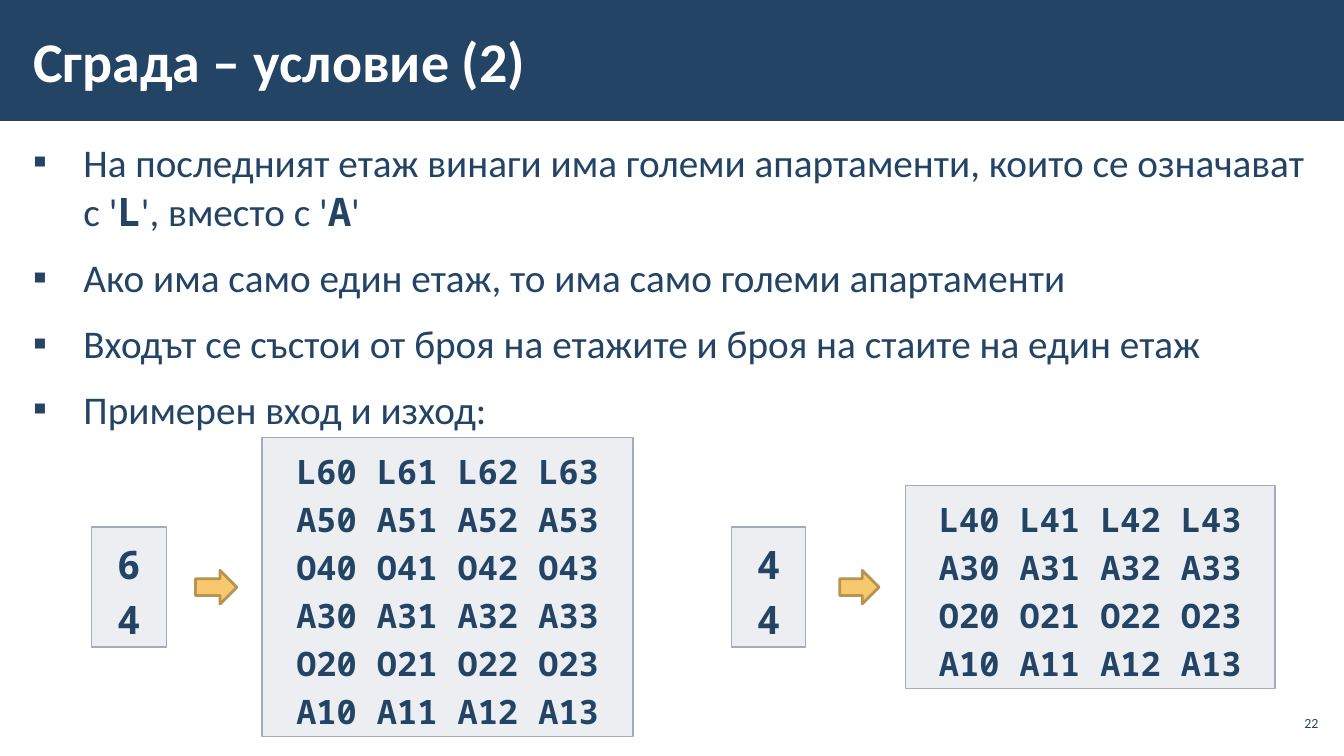
"""Build the slide that states the second part of the building task."""
from dataclasses import dataclass

from lxml import etree
from pptx import Presentation
from pptx.dml.color import RGBColor
from pptx.enum import shapes, text
from pptx.oxml import ns
from pptx.util import Pt


@dataclass(frozen=True)
class Theme:
    navy: RGBColor = RGBColor(0x23, 0x44, 0x65)
    white: RGBColor = RGBColor(0xFF, 0xFF, 0xFF)
    gray: RGBColor = RGBColor(0xA3, 0xAB, 0xBC)
    gold: RGBColor = RGBColor(0xF7, 0xC8, 0x6D)
    bronze: RGBColor = RGBColor(0xB7, 0x94, 0x51)
    sans: str = "Calibri"
    mono: str = "Noto Sans Mono"
    title_size: float = 40
    body_size: float = 28
    input_size: float = 28
    output_size: float = 24
    number_size: float = 10
    body_pitch: float = 35.1
    input_pitch: float = 39.25
    output_pitch: float = 34.4


@dataclass(frozen=True)
class CodeBox:
    left: float
    width: float
    lines: list[str]
    size: float
    pitch: float


@dataclass(frozen=True)
class Arrow:
    left: float
    width: float


@dataclass(frozen=True)
class Run:
    text: str
    code: bool = False


THEME = Theme()
SLIDE_WIDTH, SLIDE_HEIGHT = 960, 540
EXAMPLE_MIDDLE = 419.4
ARROW_HEIGHT = 24
BOX_INSET = 3.6

BULLETS = [
    [
        Run("На последният етаж винаги има големи апартаменти, които се означават с '"),
        Run("L", code=True),
        Run("', вместо с '"),
        Run("А", code=True),
        Run("'"),
    ],
    [Run("Ако има само един етаж, то има само големи апартаменти")],
    [Run("Входът се състои от броя на етажите и броя на стаите на един етаж")],
    [Run("Примерен вход и изход:")],
]


def input_box(left: float, width: float, lines: list[str]) -> CodeBox:
    return CodeBox(left, width, lines, THEME.input_size, THEME.input_pitch)


def output_box(left: float, width: float, floors: list[str]) -> CodeBox:
    lines = [" ".join(f"{floor}{room}" for room in range(4)) for floor in floors]
    return CodeBox(left, width, lines, THEME.output_size, THEME.output_pitch)


CODE_BOXES = [
    input_box(65.5, 53.3, ["6", "4"]),
    output_box(187.2, 264.9, ["L6", "A5", "O4", "A3", "O2", "A1"]),
    input_box(522.7, 52.6, ["4", "4"]),
    output_box(646.6, 264.2, ["L4", "A3", "O2", "A1"]),
]
ARROWS = [Arrow(139.7, 29.5), Arrow(599.8, 28.1)]


def place(shape, left: float, top: float, width: float, height: float) -> None:
    shape.left, shape.top = Pt(left), Pt(top)
    shape.width, shape.height = Pt(width), Pt(height)


def format_frame(frame, anchor, horizontal: float, vertical: float) -> None:
    frame.word_wrap = True
    frame.auto_size = text.MSO_AUTO_SIZE.NONE
    frame.vertical_anchor = anchor
    frame.margin_left = frame.margin_right = Pt(horizontal)
    frame.margin_top = frame.margin_bottom = Pt(vertical)


def add_run(paragraph, content: str, font: str, size: float,
            color: RGBColor, bold: bool = False) -> None:
    run = paragraph.add_run()
    run.text = content
    run.font.name, run.font.size, run.font.bold = font, Pt(size), bold
    run.font.color.rgb = color


def next_paragraph(frame, index: int):
    return frame.add_paragraph() if index else frame.paragraphs[0]


def add_preset(slide, preset, left: float, top: float, width: float, height: float,
               fill: RGBColor):
    shape = slide.shapes.add_shape(preset, Pt(left), Pt(top), Pt(width), Pt(height))
    shape.shadow.inherit = False
    shape.fill.solid()
    shape.fill.fore_color.rgb = fill
    return shape


def set_bullet(paragraph) -> None:
    properties = paragraph._p.get_or_add_pPr()
    properties.set("marL", str(Pt(36)))
    properties.set("indent", str(Pt(-36)))
    etree.SubElement(properties, ns.qn("a:buFont"), typeface="Wingdings")
    properties[-1].set("typeface", THEME.sans)
    etree.SubElement(properties, ns.qn("a:buChar"), char="▪")


def add_title(slide) -> None:
    title = slide.shapes.title
    place(title, 15.1, 7.9, 748, 69.8)
    format_frame(title.text_frame, text.MSO_ANCHOR.MIDDLE, 8.5, 2.8)
    paragraph = title.text_frame.paragraphs[0]
    paragraph.alignment = text.PP_ALIGN.LEFT
    add_run(paragraph, "Сграда – условие (2)", THEME.sans, THEME.title_size,
            THEME.white, bold=True)
    band = add_preset(slide, shapes.MSO_SHAPE.RECTANGLE, 0, 0, SLIDE_WIDTH, 86.4, THEME.navy)
    band.line.fill.background()
    title.element.addprevious(band.element)


def add_body(slide) -> None:
    body = slide.placeholders[1]
    place(body, 15.1, 94.3, 930.2, 409.7)
    format_frame(body.text_frame, text.MSO_ANCHOR.TOP, 8.5, 2.8)
    for index, runs in enumerate(BULLETS):
        paragraph = next_paragraph(body.text_frame, index)
        paragraph.line_spacing = Pt(THEME.body_pitch)
        paragraph.space_before = paragraph.space_after = Pt(6)
        set_bullet(paragraph)
        for run in runs:
            font = THEME.mono if run.code else THEME.sans
            add_run(paragraph, run.text, font, THEME.body_size, THEME.navy, run.code)


def add_code_box(slide, box: CodeBox) -> None:
    height = len(box.lines) * box.pitch + 2 * BOX_INSET
    shape = add_preset(slide, shapes.MSO_SHAPE.RECTANGLE, box.left,
                       EXAMPLE_MIDDLE - height / 2, box.width, height, THEME.gray)
    color = shape.element.spPr.find(ns.qn("a:solidFill"))[0]
    etree.SubElement(color, ns.qn("a:alpha"), val="20000")
    shape.line.color.rgb, shape.line.width = THEME.gray, Pt(1)
    format_frame(shape.text_frame, text.MSO_ANCHOR.TOP, 7.2, BOX_INSET)
    for index, line in enumerate(box.lines):
        paragraph = next_paragraph(shape.text_frame, index)
        paragraph.alignment = text.PP_ALIGN.CENTER
        paragraph.line_spacing = Pt(box.pitch)
        add_run(paragraph, line, THEME.mono, box.size, THEME.navy, bold=True)


def add_arrow(slide, arrow: Arrow) -> None:
    shape = add_preset(slide, shapes.MSO_SHAPE.RIGHT_ARROW, arrow.left,
                       EXAMPLE_MIDDLE - ARROW_HEIGHT / 2, arrow.width, ARROW_HEIGHT, THEME.gold)
    shape.line.color.rgb, shape.line.width = THEME.bronze, Pt(2)


def add_slide_number(slide) -> None:
    number = slide.shapes.add_textbox(Pt(910.8), Pt(504), Pt(33.8), Pt(24.5))
    format_frame(number.text_frame, text.MSO_ANCHOR.MIDDLE, 2.8, 2.8)
    paragraph = number.text_frame.paragraphs[0]
    paragraph.alignment = text.PP_ALIGN.RIGHT
    add_run(paragraph, "22", THEME.sans, THEME.number_size, THEME.navy)


def main() -> None:
    presentation = Presentation()
    presentation.slide_width, presentation.slide_height = Pt(SLIDE_WIDTH), Pt(SLIDE_HEIGHT)
    slide = presentation.slides.add_slide(presentation.slide_layouts[1])
    add_title(slide)
    add_body(slide)
    add_slide_number(slide)
    for box in CODE_BOXES:
        add_code_box(slide, box)
    for arrow in ARROWS:
        add_arrow(slide, arrow)
    presentation.save("out.pptx")


if __name__ == "__main__":
    main()
